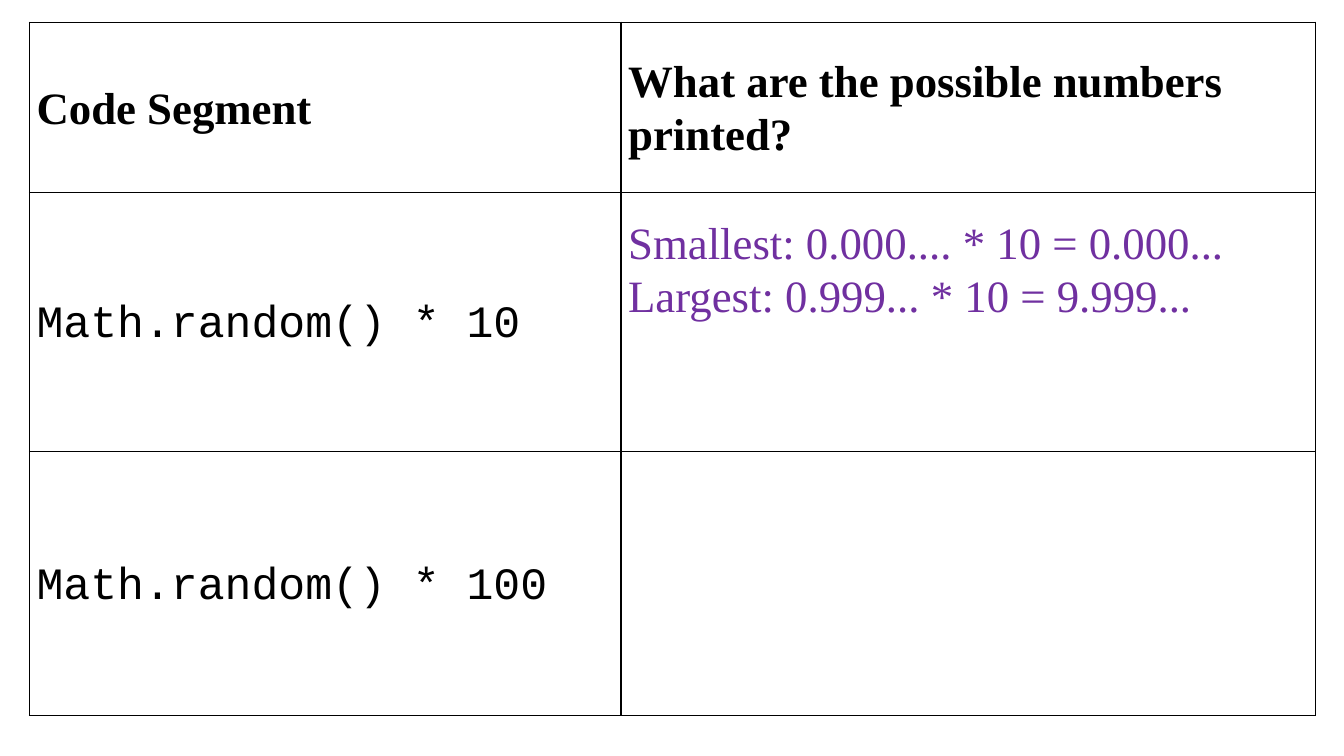
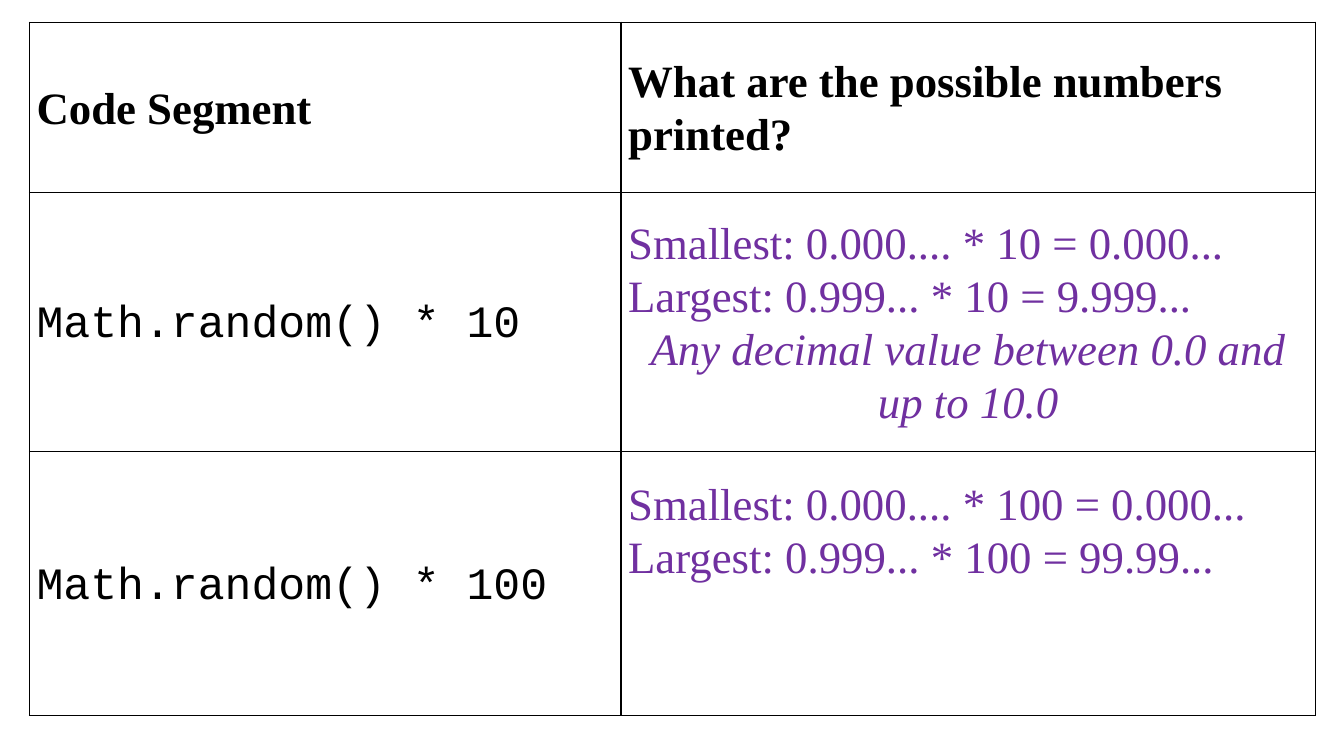
import pptx
import pptx.dml.color
import pptx.enum.text
import pptx.util
from lxml import etree
from pptx.oxml.ns import qn

Cm, Pt = pptx.util.Cm, pptx.util.Pt
Anchor = pptx.enum.text.MSO_ANCHOR
Align = pptx.enum.text.PP_ALIGN

# Content: each slide reveals more of the answers
HEADINGS = ["Code Segment", "What are the possible numbers printed?"]
SEGMENTS = ["Math.random() * 10", "Math.random() * 100"]
TENS = [
    ("answer", "Smallest: 0.000.... * 10 = 0.000..."),
    ("answer", "Largest: 0.999... * 10 = 9.999..."),
]
TENS_RANGE = [("range", "Any decimal value between 0.0 and up to 10.0")]
HUNDREDS = [
    ("answer", "Smallest: 0.000.... * 100 = 0.000..."),
    ("answer", "Largest: 0.999... * 100 = 99.99..."),
]
REVEALS = [
    [TENS, []],
    [TENS + TENS_RANGE, HUNDREDS],
]

# Shared look
BLACK = pptx.dml.color.RGBColor(0x00, 0x00, 0x00)
PURPLE = pptx.dml.color.RGBColor(0x70, 0x30, 0xA0)
SERIF, MONO = "Times New Roman", "Courier New"
TEXT_SIZE = Pt(32)
STYLES = {
    "heading": {"font": {"name": SERIF, "bold": True}, "color": BLACK,
                "paragraph": {"line_spacing": 1.07}},
    "code": {"font": {"name": MONO, "bold": False}, "color": BLACK,
             "paragraph": {"line_spacing": 1.15}},
    "answer": {"font": {"name": SERIF, "bold": False}, "color": PURPLE,
               "paragraph": {"line_spacing": 1.07}},
    "range": {"font": {"name": SERIF, "bold": False, "italic": True}, "color": PURPLE,
              "paragraph": {"line_spacing": 1.07, "alignment": Align.CENTER}},
}

# Geometry
SLIDE_WIDTH, SLIDE_HEIGHT = Cm(33.87), Cm(19.05)
TABLE_LEFT, TABLE_TOP = Cm(0.74), Cm(0.56)
COLUMN_WIDTHS = [Cm(14.91), Cm(17.5)]
ROW_HEIGHTS = [Cm(4.29), Cm(6.53), Cm(6.65)]
SIDE_MARGIN = Cm(0.18)
BORDER_WIDTH = Pt(1)
ANSWER_LINES, ANSWER_PITCH = 4, Pt(38)


def add_borders(cell):
    properties = cell._tc.get_or_add_tcPr()
    for side in ("lnL", "lnR", "lnT", "lnB"):
        line = etree.SubElement(properties, qn(f"a:{side}"), w=str(int(BORDER_WIDTH)))
        fill = etree.SubElement(line, qn("a:solidFill"))
        etree.SubElement(fill, qn("a:srgbClr"), val=str(BLACK))


def fill_cell(cell, lines, anchor=Anchor.MIDDLE, margin_top=0):
    add_borders(cell)
    cell.fill.background()
    layout = {"vertical_anchor": anchor, "margin_left": SIDE_MARGIN,
              "margin_right": SIDE_MARGIN, "margin_top": margin_top, "margin_bottom": 0}
    for name, value in layout.items():
        setattr(cell, name, value)
    frame = cell.text_frame
    for index, (style_name, text) in enumerate(lines):
        paragraph = frame.add_paragraph() if index else frame.paragraphs[0]
        style = STYLES[style_name]
        for name, value in style["paragraph"].items():
            setattr(paragraph, name, value)
        run = paragraph.add_run()
        run.text = text
        run.font.size = TEXT_SIZE
        run.font.color.rgb = style["color"]
        for name, value in style["font"].items():
            setattr(run.font, name, value)


def add_question_slide(deck, answers):
    slide = deck.slides.add_slide(deck.slide_layouts[6])
    table = slide.shapes.add_table(
        len(ROW_HEIGHTS), len(COLUMN_WIDTHS), TABLE_LEFT, TABLE_TOP,
        sum(COLUMN_WIDTHS), sum(ROW_HEIGHTS)).table
    table.first_row = table.horz_banding = False
    for column, width in zip(table.columns, COLUMN_WIDTHS):
        column.width = width
    for row, height in zip(table.rows, ROW_HEIGHTS):
        row.height = height

    for column, heading in enumerate(HEADINGS):
        fill_cell(table.cell(0, column), [("heading", heading)])
    for row, (segment, answer) in enumerate(zip(SEGMENTS, answers), start=1):
        fill_cell(table.cell(row, 0), [("code", segment)])
        # Answers start where a full set of lines would be centred
        top_gap = (ROW_HEIGHTS[row] - ANSWER_LINES * ANSWER_PITCH) // 2
        fill_cell(table.cell(row, 1), answer, Anchor.TOP, top_gap)


def main():
    deck = pptx.Presentation()
    deck.slide_width, deck.slide_height = SLIDE_WIDTH, SLIDE_HEIGHT
    for answers in REVEALS:
        add_question_slide(deck, answers)
    deck.save("out.pptx")


if __name__ == "__main__":
    main()
